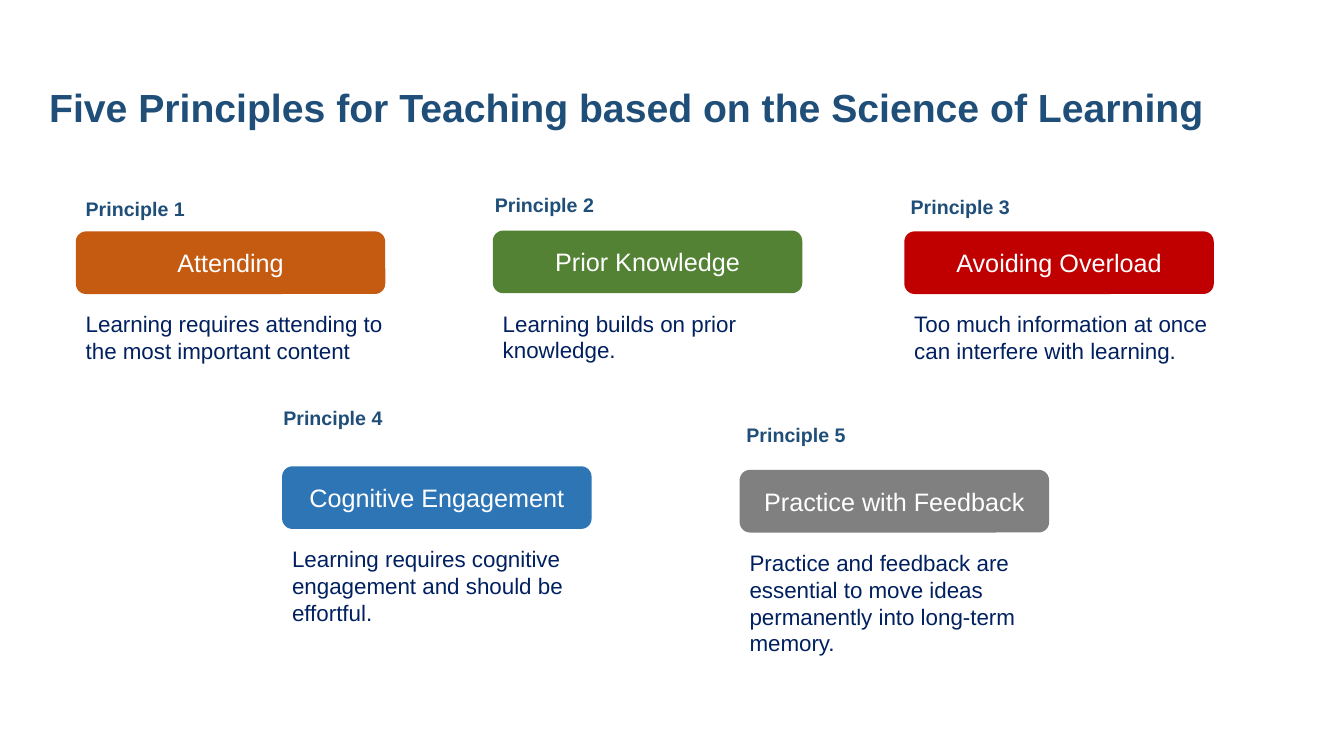
from pptx import Presentation
from pptx.util import Cm, Pt
from pptx.dml.color import RGBColor
from pptx.enum.shapes import MSO_SHAPE
from pptx.enum.text import MSO_ANCHOR, PP_ALIGN

NAVY = RGBColor(0x00, 0x20, 0x60)
BLUE = RGBColor(0x1F, 0x4E, 0x79)
WHITE = RGBColor(0xFF, 0xFF, 0xFF)
ORANGE = RGBColor(0xC5, 0x5A, 0x11)
GREEN = RGBColor(0x54, 0x82, 0x35)
RED = RGBColor(0xC0, 0x00, 0x00)
SKY = RGBColor(0x2E, 0x75, 0xB6)
GRAY = RGBColor(0x80, 0x80, 0x80)

TITLE = "Five Principles for Teaching based on the Science of Learning"
CARDS = [
    ("Attending", "Learning requires attending to the most important content",
     ORANGE, (1.91, 5.83), (1.91, 4.83)),
    ("Prior Knowledge", "Learning builds on prior knowledge.",
     GREEN, (12.42, 5.81), (12.22, 4.74)),
    ("Avoiding Overload",
     "Too much information at once can interfere with learning.",
     RED, (22.79, 5.83), (22.7, 4.78)),
    ("Cognitive Engagement",
     "Learning requires cognitive engagement and should be effortful.",
     SKY, (7.11, 11.75), (6.89, 10.11)),
    ("Practice with Feedback",
     "Practice and feedback are essential to move ideas permanently "
     "into long-term memory.",
     GRAY, (18.64, 11.84), (18.56, 10.52)),
]
BAR_W, BAR_H = 7.8, 1.58
BODY_W, BODY_H, BODY_DROP = 8.33, 2.3, 1.87
TAG_W, TAG_H = 5.33, 1.8


def write(shape, text, size, color, bold=False):
    frame = shape.text_frame
    frame.word_wrap = True
    para = frame.paragraphs[0]
    para.text = text
    font = para.font
    font.name = "Arial"
    font.size = Pt(size)
    font.bold = bold
    font.color.rgb = color
    return para


def add_text(slide, box, text, size, color, bold=False):
    shape = slide.shapes.add_textbox(*map(Cm, box))
    write(shape, text, size, color, bold)


def add_bar(slide, box, text, fill):
    bar = slide.shapes.add_shape(MSO_SHAPE.ROUNDED_RECTANGLE, *map(Cm, box))
    bar.shadow.inherit = False
    bar.fill.solid()
    bar.fill.fore_color.rgb = fill
    bar.line.fill.background()
    write(bar, text, 18, WHITE).alignment = PP_ALIGN.CENTER
    bar.text_frame.vertical_anchor = MSO_ANCHOR.MIDDLE


def main():
    deck = Presentation()
    deck.slide_width, deck.slide_height = Cm(33.87), Cm(19.05)
    slide = deck.slides.add_slide(deck.slide_layouts[6])
    add_text(slide, (0.99, 1.98, 33.17, 3.18), TITLE, 28, BLUE, True)
    for num, (name, body, fill, bar, tag) in enumerate(CARDS, 1):
        left, top = bar
        add_bar(slide, (left, top, BAR_W, BAR_H), name, fill)
        add_text(slide, (*tag, TAG_W, TAG_H), f"Principle {num}", 14, BLUE, True)
        add_text(slide, (left, top + BODY_DROP, BODY_W, BODY_H), body, 16, NAVY)
    deck.save("out.pptx")


if __name__ == "__main__":
    main()
